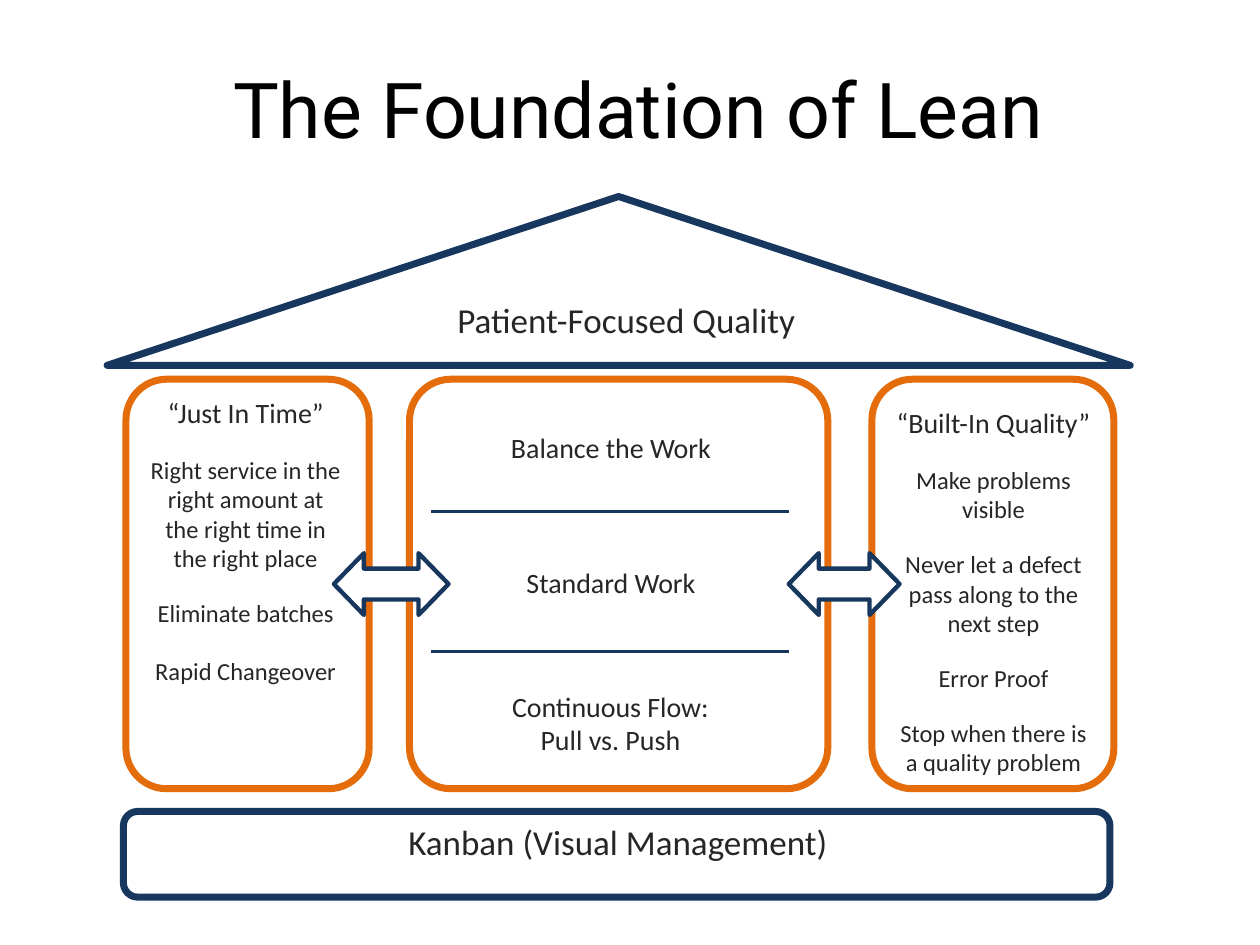
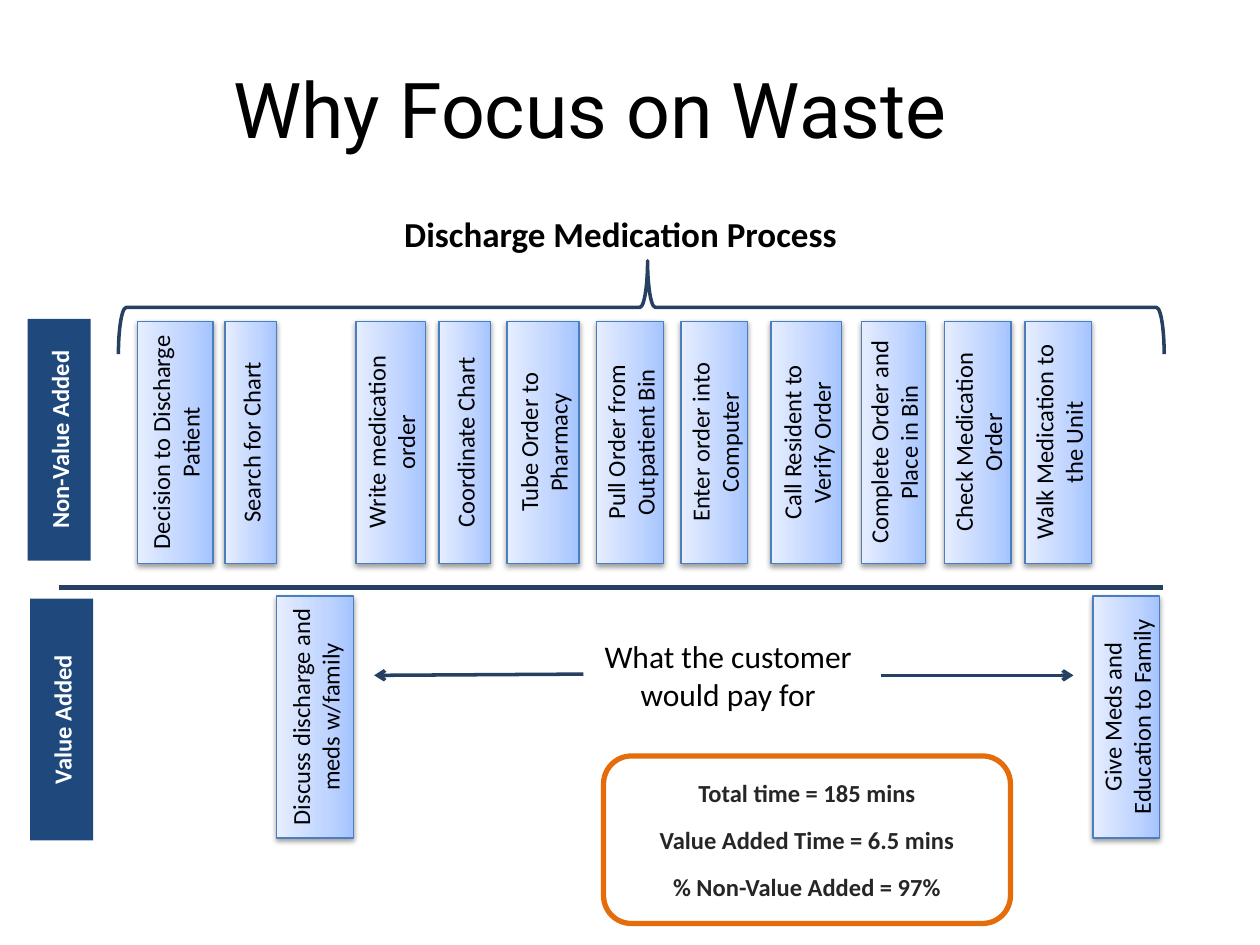
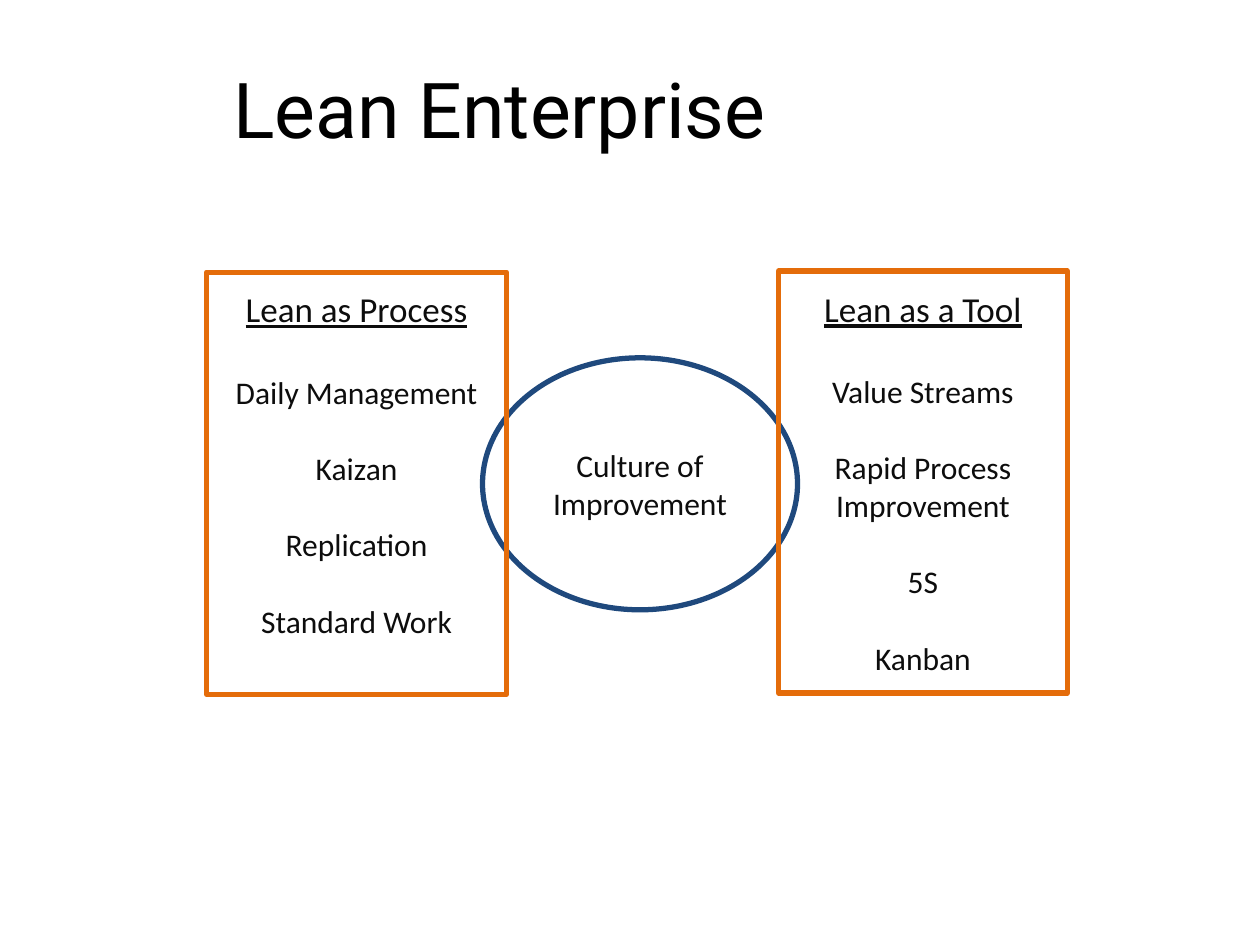
import copy
from lxml import etree
from pptx import Presentation
from pptx import util as u
from pptx.dml import color
from pptx.enum import shapes, text
from pptx.oxml import ns

C = {"black": "000000", "white": "FFFFFF", "ink": "262626", "dark": "0D0D0D",
     "orange": "E46C0A", "navy": "17375E", "steel": "254061", "band": "1F497D",
     "edge": "4B7EBC", "step_dark": "A4C4FF", "step_mid": "BFD4FF", "step_light": "E6EEFF"}
S = shapes.MSO_SHAPE
LEFT, CENTER = text.PP_ALIGN.LEFT, text.PP_ALIGN.CENTER


def put(s, kind, box, fill=None, line=None, width=1, rot=0, adj=()):
    sp = s.shapes.add_shape(kind, *map(u.Inches, box))
    sp.rotation = rot
    sp.shadow.inherit = False
    for i, value in enumerate(adj):
        sp.adjustments[i] = value
    if fill:
        sp.fill.solid()
        sp.fill.fore_color.rgb = color.RGBColor.from_string(C[fill])
    else:
        sp.fill.background()
    if line:
        sp.line.color.rgb = color.RGBColor.from_string(C[line])
        sp.line.width = u.Pt(width)
    else:
        sp.line.fill.background()
    return sp


def write(sp, paras, ink, align=CENTER, anchor=text.MSO_ANCHOR.MIDDLE, spacing=None, **fmt):
    tf = sp.text_frame
    tf.word_wrap = True
    tf.auto_size = text.MSO_AUTO_SIZE.NONE
    tf.vertical_anchor = anchor
    for i, (words, size, before) in enumerate(paras):
        p = tf.paragraphs[0] if i == 0 else tf.add_paragraph()
        p.alignment = align
        p.space_before = u.Pt(before)
        if spacing:
            p.line_spacing = spacing
        r = p.add_run()
        r.text = words
        for key, value in {"name": "Calibri", "size": u.Pt(size), **fmt}.items():
            setattr(r.font, key, value)
        r.font.color.rgb = color.RGBColor.from_string(C[ink])


prs = Presentation()
prs.slide_width, prs.slide_height = u.Inches(10), u.Inches(7.5)

slides = []
for title in ("The Foundation of Lean", "Why Focus on Waste", "Lean Enterprise"):
    s = prs.slides.add_slide(prs.slide_layouts[5])
    sp = s.shapes.title
    sp.left, sp.top, sp.width, sp.height = map(u.Inches, (1.75, 0.42, 6.72, 0.87))
    write(sp, [(title, 44, 0)], "black", LEFT, name="Roboto")
    slides.append(s)
house, waste, enterprise = slides

for left, width, corner in ((6.92, 1.92, 0.167), (3.25, 3.32, 0.101), (1, 1.93, 0.167)):
    put(house, S.ROUNDED_RECTANGLE, (left, 3.01, width, 3.25), "white", "orange", 4, adj=[corner])
put(house, S.ROUNDED_RECTANGLE, (0.98, 6.44, 7.83, 0.68), "white", "navy", 4)
put(house, S.ISOSCELES_TRIANGLE, (0.85, 1.56, 8.12, 1.34), "white", "navy", 4)
for left, width in ((6.26, 0.88), (2.65, 0.91)):
    put(house, S.LEFT_RIGHT_ARROW, (left, 4.39, width, 0.49), "white", "navy", 2.5, adj=[0.5, 0.486])

just_in_time = [
    ("“Just In Time”", 16, 0),
    ("Right service in the right amount at the right time in the right place", 14, 14.6),
    ("Eliminate batches", 14, 14.6),
    ("Rapid Changeover", 14, 16.6),
]
built_in = [
    ("“Built-In Quality”", 16, 0),
    ("Make problems", 14, 14.6), ("visible", 14, 0),
    ("Never let a defect", 14, 14.6), ("pass along to the", 14, 0), ("next step", 14, 0),
    ("Error Proof", 14, 14.6),
    ("Stop when there is", 14, 14.6), ("a quality problem", 14, 0),
]
flow = [("Continuous Flow:", 16, 0), ("Pull vs. Push", 16, 0)]
for box, paras, spacing in (
    ((3.28, 3.47, 3.14, 0.25), [("Balance the Work", 16, 0)], 0.55),
    ((3.28, 4.54, 3.14, 0.25), [("Standard Work", 16, 0)], 0.55),
    ((3.27, 5.42, 3.15, 0.64), flow, None),
    ((2.65, 6.59, 4.51, 0.29), [("Kanban (Visual Management)", 20, 0)], 0.55),
    ((1.08, 3.09, 1.74, 2.42), just_in_time, None),
    ((6.84, 3.17, 2.09, 3.33), built_in, None),
    ((3.51, 2.32, 2.92, 0.44), [("Patient-Focused Quality", 20, 0)], None),
):
    sp = house.shapes.add_textbox(*map(u.Inches, box))
    write(sp, paras, "ink", anchor=text.MSO_ANCHOR.TOP, spacing=spacing)

sp = waste.shapes.add_textbox(*map(u.Inches, (4.6, 5, 2.36, 0.71)))
write(sp, [("What the customer", 18, 0), ("would pay for", 18, 0)], "black")
sp = waste.shapes.add_textbox(*map(u.Inches, (3.11, 1.63, 4.53, 0.44)))
write(sp, [("Discharge Medication Process", 20, 0)], "black", LEFT, bold=True)
put(waste, S.RIGHT_BRACE, (4.72, -1.71, 0.74, 8.3), None, "steel", 2, 270, [0.083, 0.506])

length, upper, lower = 1.92, 3.51, 5.69
for words, x, y, depth in (
    ("Decision to Discharge Patient", 1.39, upper, 0.6),
    ("Search for Chart", 1.99, upper, 0.41),
    ("Discuss discharge and meds w/family", 2.5, lower, 0.61),
    ("Write medication order", 3.1, upper, 0.55),
    ("Coordinate Chart", 3.69, upper, 0.41),
    ("Tube Order to Pharmacy", 4.31, upper, 0.57),
    ("Pull Order from Outpatient Bin", 5, upper, 0.53),
    ("Enter order into Computer", 5.67, upper, 0.53),
    ("Call Resident to Verify Order", 6.4, upper, 0.56),
    ("Complete Order and Place in Bin", 7.09, upper, 0.51),
    ("Check Medication Order", 7.76, upper, 0.53),
    ("Walk Medication to the Unit", 8.4, upper, 0.53),
    ("Give Meds and Education to Family", 8.94, lower, 0.53),
):
    box = (x - length / 2, y - depth / 2, length, depth)
    sp = put(waste, S.RECTANGLE, box, None, "edge", 0.75, 270)
    write(sp, [(words, 14, 0)], "black")
    sp.fill.gradient()
    sp.fill.gradient_angle = 90
    stops = sp._element.spPr.find(".//" + ns.qn("a:gsLst"))
    stops.append(copy.deepcopy(stops[0]))
    for stop, at, name in zip(sp.fill.gradient_stops, (0, 0.35, 1), ("step_dark", "step_mid", "step_light")):
        stop.position = at
        stop.color.rgb = color.RGBColor.from_string(C[name])
    effects = sp._element.spPr.find(ns.qn("a:effectLst"))
    shadow = etree.SubElement(effects, ns.qn("a:outerShdw"), blurRad="40000", dist="20000",
                              dir="5400000", rotWithShape="0")
    tone = etree.SubElement(shadow, ns.qn("a:srgbClr"), val=C["black"])
    etree.SubElement(tone, ns.qn("a:alpha"), val="38000")

for words, left, top in (("Non-Value Added", -0.49, 3.24), ("Value Added", -0.47, 5.46)):
    sp = put(waste, S.RECTANGLE, (left, top, length, 0.5), "band", rot=270)
    write(sp, [(words, 14, 0)], "white", bold=True)

sp = put(waste, S.ROUNDED_RECTANGLE, (4.79, 6, 3.23, 1.33), "white", "orange", 3)
totals = [("Total time = 185 mins", 14, 0), ("Value Added Time = 6.5 mins", 14, 9.8),
          ("% Non-Value Added = 97%", 14, 9.8)]
write(sp, totals, "ink", bold=True)

sp = put(enterprise, S.OVAL, (3.83, 2.84, 2.5, 2), None, "band", 3)
write(sp, [("Culture of Improvement", 18, 0)], "dark")
for box, head, items, bottom in (
    ((6.18, 2.15, 2.29, 3.35), "Lean as a Tool",
     ("Value Streams", "Rapid Process Improvement", "5S", "Kanban"), 0.05),
    ((1.64, 2.16, 2.38, 3.35), "Lean as Process",
     ("Daily Management", "Kaizan", "Replication", "Standard Work"), 0.36),
):
    sp = put(enterprise, S.RECTANGLE, box, None, "orange", 3)
    paras = [(head, 20, 0)] + [(item, 18, 22 if i else 24.4) for i, item in enumerate(items)]
    write(sp, paras, "dark")
    sp.text_frame.margin_bottom = u.Inches(bottom)
    sp.text_frame.paragraphs[0].runs[0].font.underline = True

for s, ends, ink, width, arrow in (
    (house, (3.42, 4.06, 6.26, 4.06), "navy", 2, False),
    (house, (3.42, 5.17, 6.26, 5.17), "navy", 2, False),
    (waste, (0.47, 4.66, 9.23, 4.66), "steel", 3, False),
    (waste, (6.99, 5.36, 8.52, 5.36), "steel", 2, True),
    (waste, (4.63, 5.35, 2.97, 5.36), "steel", 2, True),
):
    cn = s.shapes.add_connector(shapes.MSO_CONNECTOR.STRAIGHT, *map(u.Inches, ends))
    cn.line.color.rgb = color.RGBColor.from_string(C[ink])
    cn.line.width = u.Pt(width)
    if arrow:
        etree.SubElement(cn.line._get_or_add_ln(), ns.qn("a:tailEnd"), type="arrow")
    etree.SubElement(cn._element.spPr, ns.qn("a:effectLst"))

prs.save("out.pptx")
